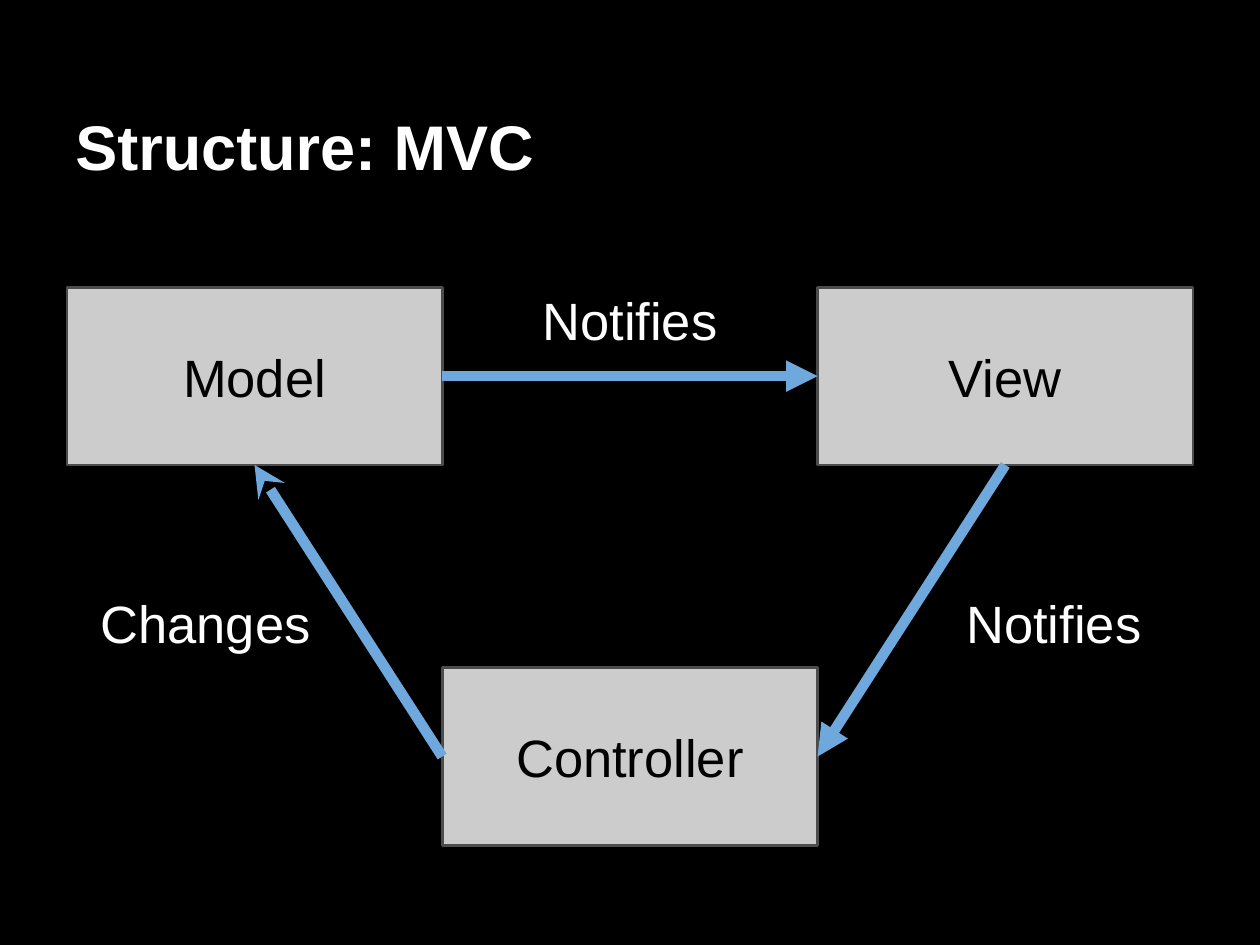
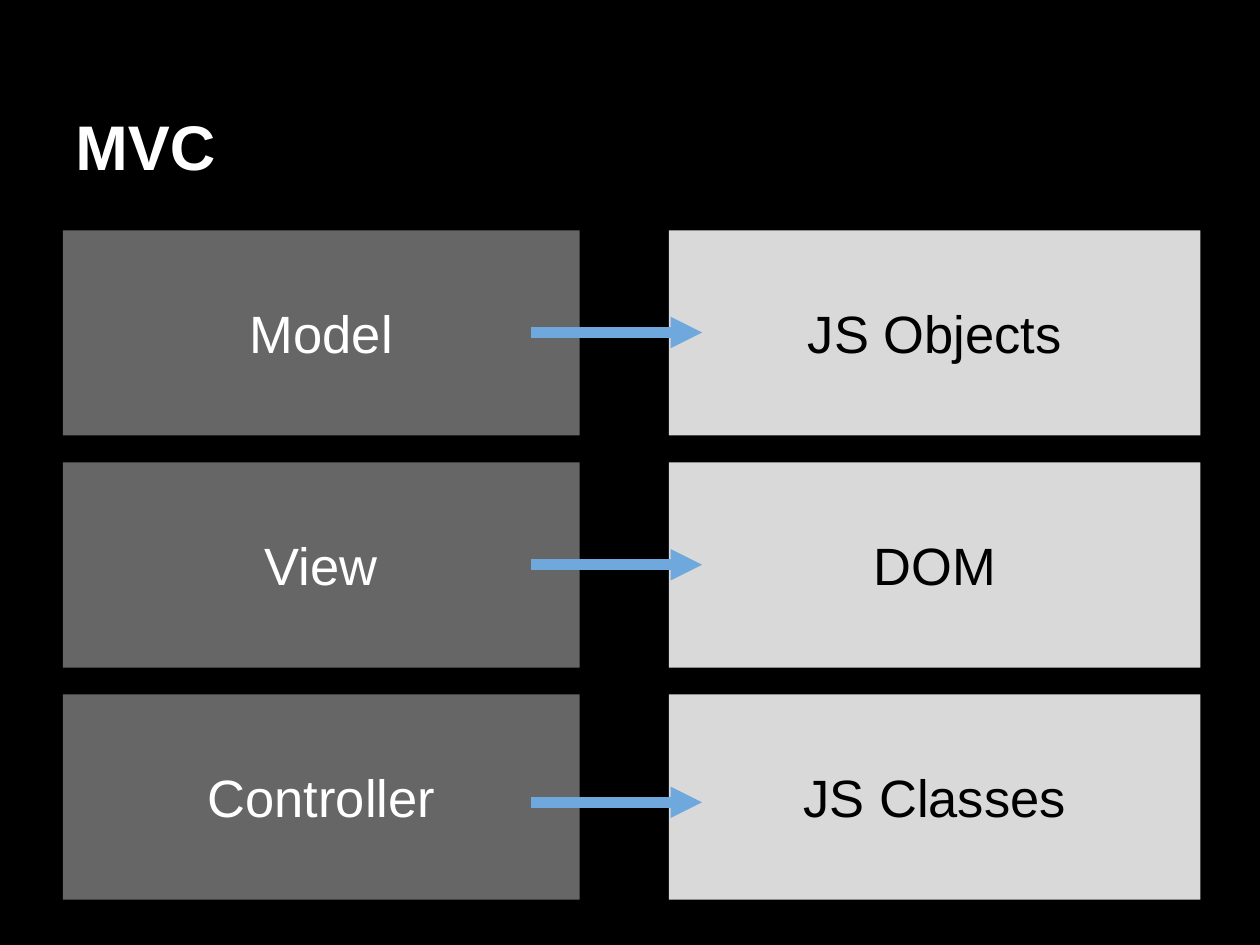
from pptx import Presentation
from pptx import util as u
from pptx.dml import color as dml
from pptx.enum import shapes, text
from pptx.oxml import ns, xmlchemy

Pt = u.Pt
FONT = "Arial"
COLOURS = {
    "background": "000000",
    "light text": "FFFFFF",
    "dark text": "000000",
    "arrow": "6FA8DC",
    "node": "CCCCCC",
    "node border": "4C4C4C",
    "concept": "666666",
    "technology": "D9D9D9",
}
COLOURS = {name: dml.RGBColor.from_string(value) for name, value in COLOURS.items()}
MIDDLE, BOTTOM, TOP = text.MSO_ANCHOR.MIDDLE, text.MSO_ANCHOR.BOTTOM, text.MSO_ANCHOR.TOP
CENTER, LEFT = text.PP_ALIGN.CENTER, text.PP_ALIGN.LEFT


def add_text(page, words, place, colour, fill=None, anchor=MIDDLE, align=CENTER, size=30, bold=False):
    """Add a text box, or a filled rectangle when a fill is named."""
    place = [Pt(length) for length in place]
    if fill:
        box = page.shapes.add_shape(shapes.MSO_SHAPE.RECTANGLE, *place)
        box.shadow.inherit = False
        box.fill.solid()
        box.fill.fore_color.rgb = COLOURS[fill]
        box.line.fill.background()
    else:
        box = page.shapes.add_textbox(*place)
    frame = box.text_frame
    frame.text = words
    frame.word_wrap = True
    frame.vertical_anchor = anchor
    frame.margin_left = frame.margin_right = frame.margin_top = frame.margin_bottom = Pt(7.2)
    para = frame.paragraphs[0]
    para.alignment = align
    font = para.runs[0].font
    font.name, font.size, font.bold = FONT, Pt(size), bold
    font.color.rgb = COLOURS[colour]
    return box


def add_arrow(page, start_x, start_y, end_x, end_y, tip="triangle"):
    arrow = page.shapes.add_connector(
        shapes.MSO_CONNECTOR.STRAIGHT, Pt(start_x), Pt(start_y), Pt(end_x), Pt(end_y))
    arrow.line.width = Pt(6)
    arrow.line.color.rgb = COLOURS["arrow"]
    tail = xmlchemy.OxmlElement("a:tailEnd")
    tail.set("type", tip)
    properties = arrow._element.spPr
    properties.find(ns.qn("a:ln")).append(tail)
    properties.append(xmlchemy.OxmlElement("a:effectLst"))
    return arrow


deck = Presentation()
deck.slide_width, deck.slide_height = Pt(720), Pt(540)

# Background and title of every slide
pages = []
for title in ("Structure: MVC", "MVC"):
    page = deck.slides.add_slide(deck.slide_layouts[6])
    page.background.fill.solid()
    page.background.fill.fore_color.rgb = COLOURS["background"]
    add_text(page, title, (36, 21.6, 648, 90), "light text",
             anchor=BOTTOM, align=LEFT, size=36, bold=True)
    pages.append(page)
structure, mapping = pages

# Structure: three nodes, one node width apart
node_left, node_width, node_height = 38.2, 214.5, 101.5
nodes = {}
for name, column, top in (("Model", 0, 164.2), ("View", 2, 164.2), ("Controller", 1, 381.6)):
    place = (node_left + column * node_width, top, node_width, node_height)
    node = add_text(structure, name, place, "dark text", "node")
    node.line.color.rgb = COLOURS["node border"]
    node.line.width = Pt(1.5)
    nodes[name] = node

# Structure: arrows joined to the sides of the nodes
for source, source_side, target, target_side, tip in (
    ("Controller", 1, "Model", 2, "stealth"),
    ("Model", 3, "View", 1, "triangle"),
    ("View", 2, "Controller", 3, "triangle"),
):
    arrow = add_arrow(structure, 0, 0, 0, 0, tip)
    arrow.begin_connect(nodes[source], source_side)
    arrow.end_connect(nodes[target], target_side)

# Structure: arrow labels
for words, left, top, width, align in (
    ("Changes", 50.4, 330.5, 288, LEFT),
    ("Notifies", 295.2, 157.7, 129.6, CENTER),
    ("Notifies", 509, 330.5, 186.5, CENTER),
):
    add_text(structure, words, (left, top, width, 36), "light text", anchor=TOP, align=align)

# Mapping: each concept points to its technology
row_top, row_pitch, row_height = 131.6, 132.6, 117.3
rows = (("Model", "JS Objects", 190), ("View", "DOM", 322.7), ("Controller", "JS Classes", 458.5))
for index, (concept, technology, arrow_y) in enumerate(rows):
    top = row_top + index * row_pitch
    add_text(mapping, concept, (36, top, 295.3, row_height), "light text", "concept")
    add_text(mapping, technology, (382.3, top, 303.7, row_height), "dark text", "technology")
    add_arrow(mapping, 303.6, arrow_y, 401.2, arrow_y)

deck.save("out.pptx")
